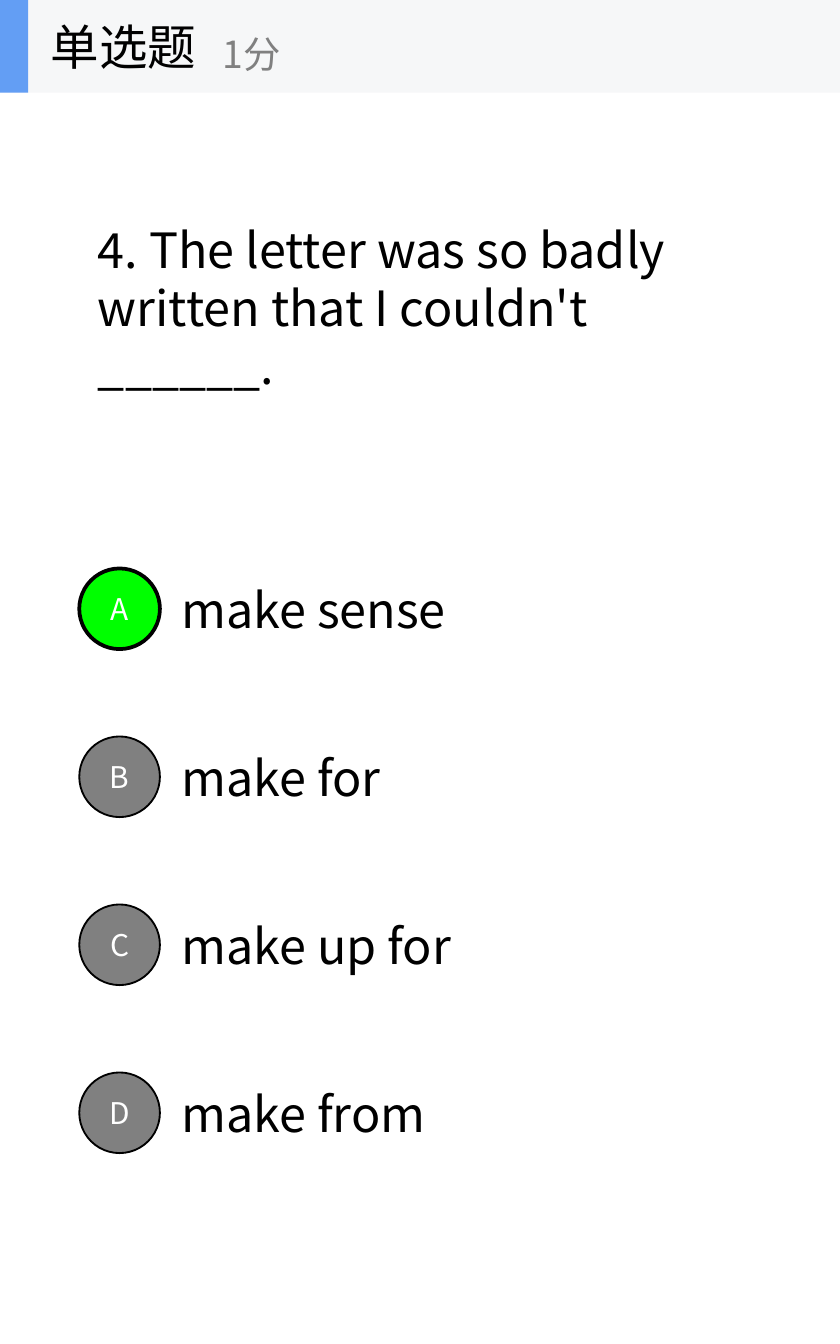
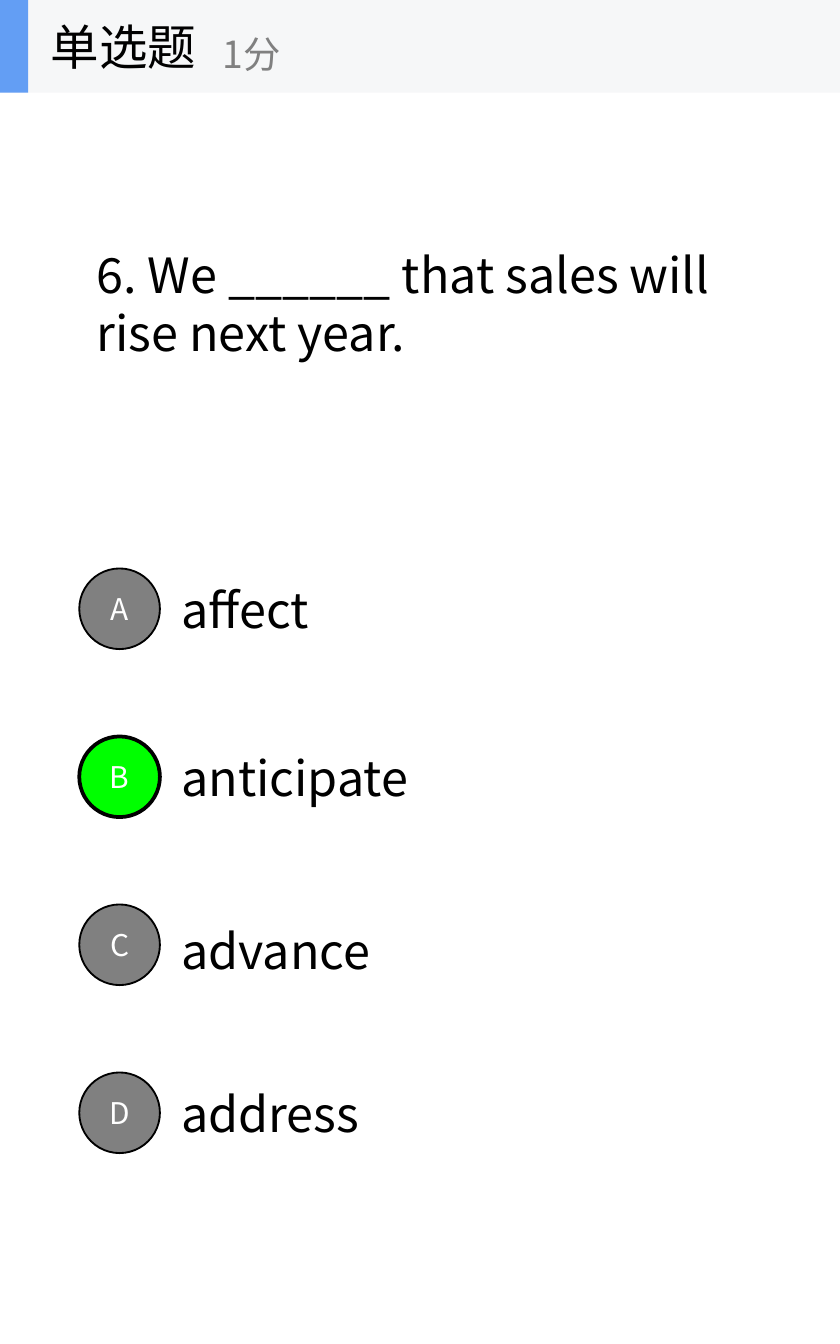
from dataclasses import dataclass
from typing import NamedTuple

from lxml.etree import SubElement
from pptx import Presentation
from pptx.dml.color import RGBColor as RGB
from pptx.enum.shapes import MSO_SHAPE as Kind
from pptx.enum.text import MSO_ANCHOR as Anchor, MSO_AUTO_SIZE as Auto, PP_ALIGN as Align
from pptx.oxml.ns import qn
from pptx.shapes.autoshape import Shape
from pptx.shapes.shapetree import GroupShapes, SlideShapes
from pptx.slide import Slide
from pptx.util import Inches, Pt

Shapes = SlideShapes | GroupShapes


@dataclass(frozen=True)
class Theme:
    font: str = "Noto Sans CJK SC"
    black: RGB = RGB(0, 0, 0)
    white: RGB = RGB(255, 255, 255)
    gray: RGB = RGB(0x80, 0x80, 0x80)
    green: RGB = RGB(0, 255, 0)
    blue: RGB = RGB(0x63, 0x9E, 0xF4)
    pale: RGB = RGB(0xF6, 0xF7, 0xF8)
    body: int = 26
    score: int = 20
    mark: int = 16


THEME = Theme()


class Box(NamedTuple):
    left: float
    top: float
    width: float
    height: float

    def lengths(self) -> list[Inches]:
        return [Inches(side) for side in self]


class Option(NamedTuple):
    text: str
    width: float
    drop: float = 0


class Question(NamedTuple):
    text: str
    box: Box
    options: list[Option]
    answer: str


FIRST, STEP = 4.23, 1.25
BAND = 0.69

QUIZ = [
    Question(
        "4. The letter was so badly written that I couldn't ______.",
        Box(0.63, 1.58, 4.99, 1.41),
        [Option("make sense", 3.7), Option("make for", 3.31),
         Option("make up for", 3.96), Option("make from", 3.7)],
        "A",
    ),
    Question(
        "6. We ______ that sales will rise next year.",
        Box(0.62, 1.77, 4.99, 0.97),
        [Option("affect", 3.91), Option("anticipate", 3.53),
         Option("advance", 3.75, drop=0.04), Option("address", 2.27)],
        "B",
    ),
]


def write(shape: Shape, text: str, size: int, color: RGB, align: Align = Align.LEFT) -> None:
    """Put one middle-anchored paragraph in the shape, for Latin and Chinese alike."""
    frame = shape.text_frame
    frame.word_wrap = True
    frame.vertical_anchor = Anchor.MIDDLE
    para = frame.paragraphs[0]
    para.text = text
    para.alignment = align
    font = para.font
    font.size = Pt(size)
    font.color.rgb = color
    font.name = THEME.font
    props = para._p.get_or_add_pPr().find(qn("a:defRPr"))
    SubElement(props, qn("a:ea"), typeface=THEME.font)


def add_text(shapes: Shapes, box: Box, text: str, size: int = THEME.body,
             color: RGB = THEME.black, grow: bool = False) -> None:
    shape = shapes.add_textbox(*box.lengths())
    write(shape, text, size, color)
    shape.text_frame.auto_size = Auto.SHAPE_TO_FIT_TEXT if grow else Auto.NONE


def add_block(shapes: Shapes, kind: Kind, box: Box, fill: RGB, line: int = 0) -> Shape:
    """Add a filled shape; a line width of 0 means no outline."""
    shape = shapes.add_shape(kind, *box.lengths())
    shape.shadow.inherit = False
    shape.fill.solid()
    shape.fill.fore_color.rgb = fill
    if line:
        shape.line.color.rgb = THEME.black
        shape.line.width = Pt(line)
    else:
        shape.line.fill.background()
    return shape


def add_option(slide: Slide, top: float, mark: str, option: Option, right: bool) -> None:
    box = Box(1.25, top + 0.03 + option.drop, option.width, 0.54)
    add_text(slide.shapes, box, option.text, grow=True)
    fill, line = (THEME.green, 2) if right else (THEME.gray, 1)
    disc = add_block(slide.shapes, Kind.OVAL, Box(0.59, top, 0.6, 0.6), fill, line)
    write(disc, mark, THEME.mark, THEME.white, Align.CENTER)


def add_header(slide: Slide) -> None:
    shapes = slide.shapes.add_group_shape().shapes
    add_block(shapes, Kind.RECTANGLE, Box(0, 0, 6.25, BAND), THEME.pale)
    add_block(shapes, Kind.RECTANGLE, Box(0, 0, 0.21, BAND), THEME.blue)
    add_text(shapes, Box(0.28, 0, 2.08, BAND), "单选题")
    add_text(shapes, Box(1.56, 0.12, 2.5, 0.56), "1分", THEME.score, THEME.gray)


def add_question(slide: Slide, item: Question) -> None:
    add_text(slide.shapes, item.box, item.text, grow=True)
    for row, (mark, option) in enumerate(zip("ABCD", item.options)):
        add_option(slide, FIRST + row * STEP, mark, option, mark == item.answer)
    add_header(slide)


def main() -> None:
    deck = Presentation()
    deck.slide_width, deck.slide_height = Inches(6.25), Inches(10)
    blank = deck.slide_layouts[6]
    for item in QUIZ:
        add_question(deck.slides.add_slide(blank), item)
    deck.save("out.pptx")


if __name__ == "__main__":
    main()
